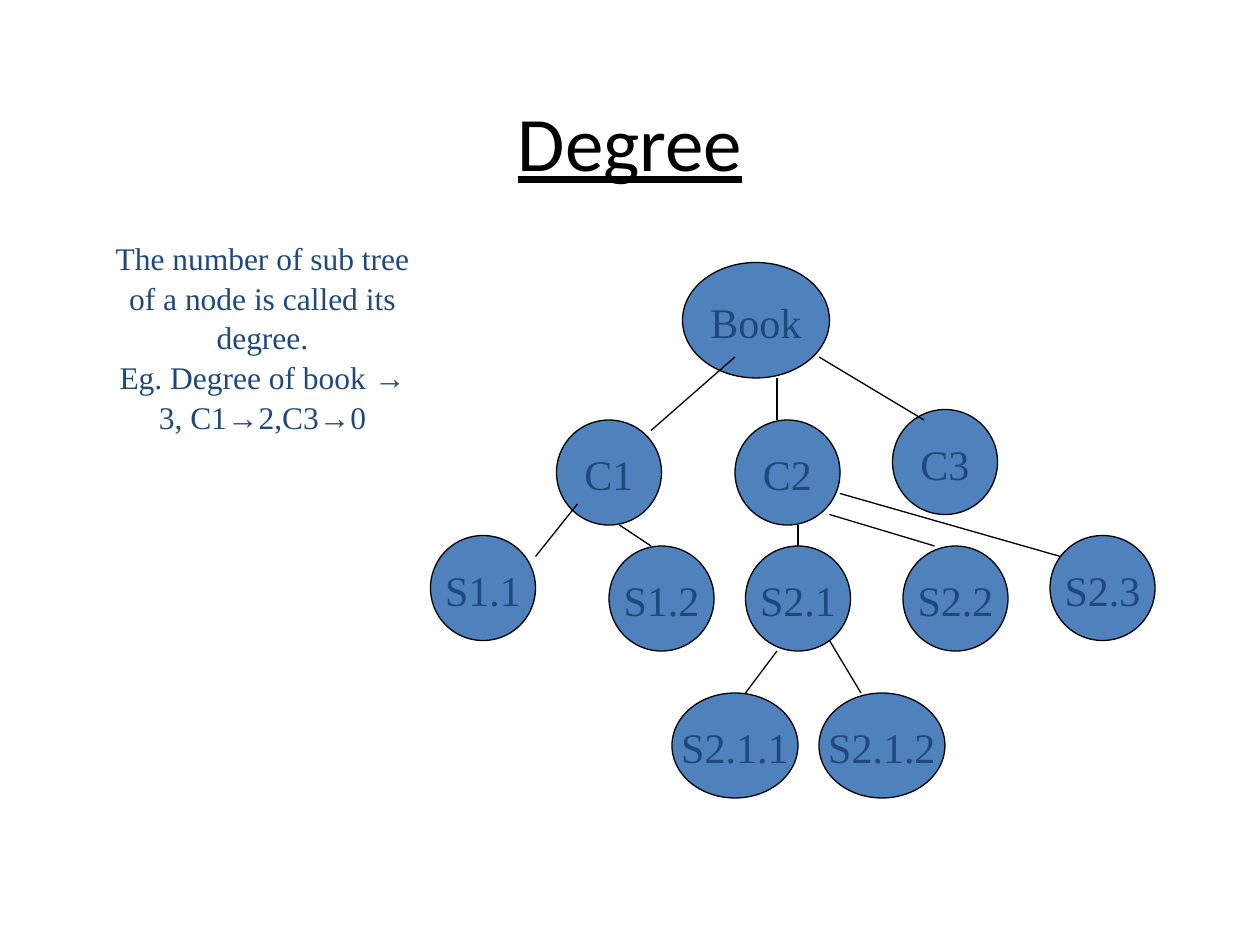
from typing import NamedTuple

from pptx import Presentation
from pptx.dml.color import RGBColor
from pptx.enum.shapes import MSO_CONNECTOR, MSO_SHAPE
from pptx.enum.text import MSO_ANCHOR, PP_ALIGN
from pptx.oxml.ns import qn
from pptx.util import Pt

COLORS = {"node": "4F81BD", "text": "1F497D", "ink": "000000"}
SERIF = "Times New Roman"
LINE_SPACING = 1.05
OUTLINE = 0.75


class Node(NamedTuple):
    label: str
    left: float
    top: float
    width: float = 60
    height: float = 60


class Branch(NamedTuple):
    start_x: float
    start_y: float
    end_x: float
    end_y: float


NODES = [
    Node("Book", 390, 150, 84, 66),
    Node("C1", 318, 240),
    Node("C2", 420, 240),
    Node("C3", 510, 234),
    Node("S1.1", 246, 306),
    Node("S1.2", 348, 312),
    Node("S2.1", 426, 312),
    Node("S2.2", 516, 312),
    Node("S2.3", 600, 306),
    Node("S2.1.1", 384, 396, 72),
    Node("S2.1.2", 468, 396, 72),
]

BRANCHES = [
    Branch(420, 204, 372, 246),
    Branch(444, 216, 444, 240),
    Branch(468, 204, 528, 240),
    Branch(330, 288, 306, 318),
    Branch(354, 300, 372, 312),
    Branch(456, 300, 456, 312),
    Branch(474, 294, 534, 312),
    Branch(480, 282, 606, 318),
    Branch(444, 372, 426, 396),
    Branch(474, 366, 492, 396),
]


def color(name: str) -> RGBColor:
    return RGBColor.from_string(COLORS[name])


def add_span(para, text: str, size: float, font: str = SERIF, ink: str = "text"):
    span = para.add_run()
    span.text = text
    span.font.size = Pt(size)
    span.font.name = font
    span.font.color.rgb = color(ink)
    return span


def centered_para(frame):
    para = frame.paragraphs[0]
    para.alignment = PP_ALIGN.CENTER
    para.line_spacing = LINE_SPACING
    return para


def add_text_box(page, left: float, top: float, width: float, height: float):
    box = page.shapes.add_textbox(Pt(left), Pt(top), Pt(width), Pt(height))
    box.text_frame.word_wrap = True
    return centered_para(box.text_frame)


def add_node(page, node: Node) -> None:
    ellipse = page.shapes.add_shape(
        MSO_SHAPE.OVAL, Pt(node.left), Pt(node.top), Pt(node.width), Pt(node.height)
    )
    ellipse.shadow.inherit = False
    ellipse.fill.solid()
    ellipse.fill.fore_color.rgb = color("node")
    ellipse.line.color.rgb = color("ink")
    ellipse.line.width = Pt(OUTLINE)
    frame = ellipse.text_frame
    frame.word_wrap = False
    frame.vertical_anchor = MSO_ANCHOR.MIDDLE
    add_span(centered_para(frame), node.label, 24)


def add_branch(page, branch: Branch) -> None:
    line = page.shapes.add_connector(
        MSO_CONNECTOR.STRAIGHT, *(Pt(value) for value in branch)
    )
    line.line.color.rgb = color("ink")
    line.line.width = Pt(OUTLINE)
    properties = line._element.spPr
    properties.append(properties.makeelement(qn("a:effectLst"), {}))


def add_title(page) -> None:
    para = add_text_box(page, 54, 48, 612, 90)
    add_span(para, "Degree", 44, "Calibri", "ink").font.underline = True


def add_definition(page) -> None:
    para = add_text_box(page, 54, 132, 192, 137)
    add_span(para, "The number of sub tree of a node is called its degree.", 18)
    para.add_line_break()
    for text in ("Eg. Degree of book ", "→", " 3, C1", "→", "2,C3", "→", "0"):
        add_span(para, text, 18, "Arial" if text == "→" else SERIF)


def main() -> None:
    deck = Presentation()
    deck.slide_width, deck.slide_height = Pt(720), Pt(540)
    page = deck.slides.add_slide(deck.slide_layouts[6])
    add_title(page)
    add_definition(page)
    for node in NODES:
        add_node(page, node)
    for branch in BRANCHES:
        add_branch(page, branch)
    deck.save("out.pptx")


if __name__ == "__main__":
    main()
